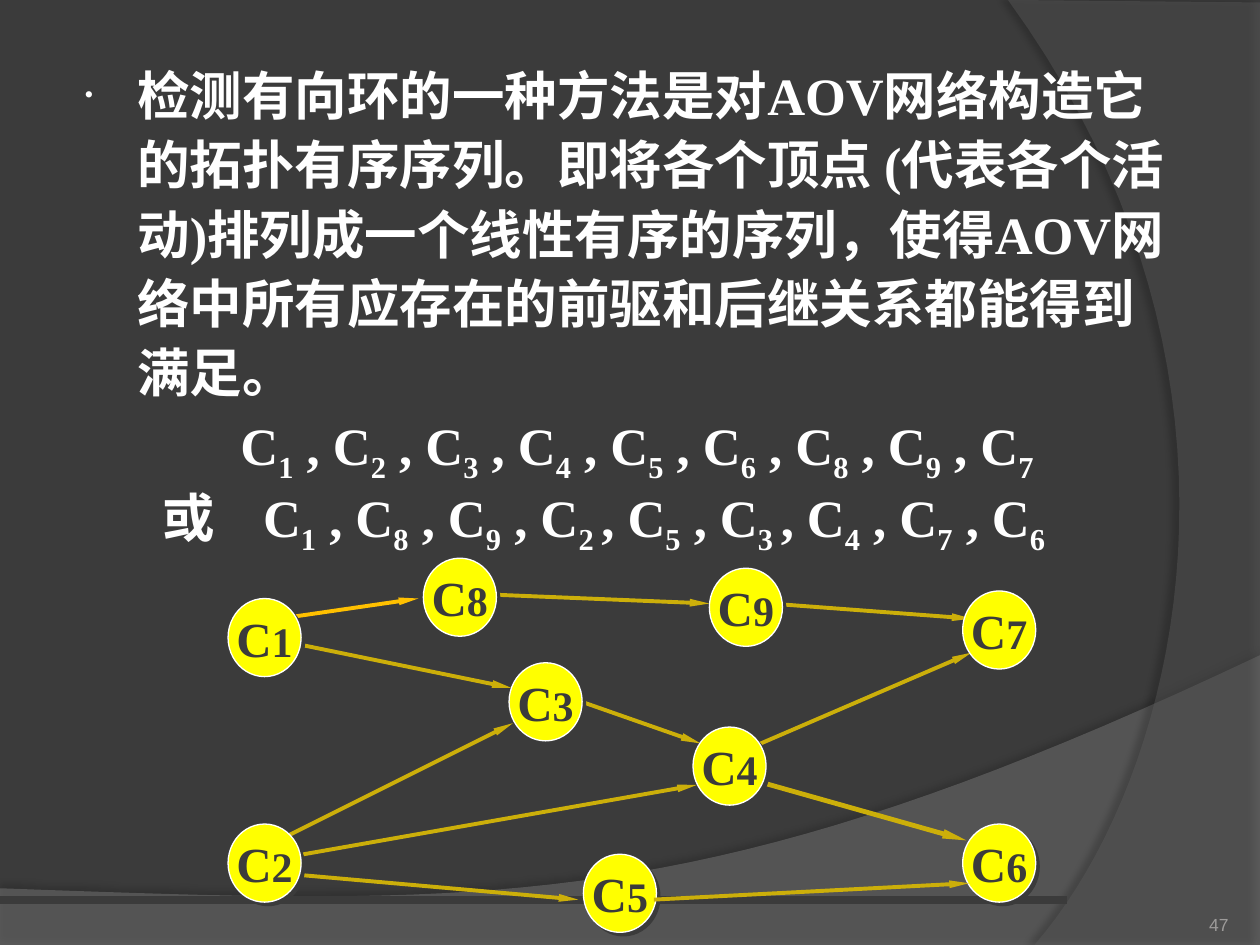
"""Build the slide on topological order of an AOV network."""
from lxml import etree
from pptx import Presentation, util as u
from pptx.dml.color import RGBColor
from pptx.enum import shapes, text
from pptx.oxml import ns

THEME = {
    "ground": "3B3B3B", "white": "FFFFFF", "node": "FFFF00",
    "edge": "CCAF0A", "first_edge": "FFC000", "number": "9D9B9A",
    "serif": "Times New Roman", "sans": "Arial",
    "body": 30, "letter": 28, "digit": 24, "small": 10,
}
STATEMENT = ("检测有向环的一种方法是对AOV网络构造它的拓扑有序序列。"
             "即将各个顶点 (代表各个活动)排列成一个线性有序的序列，"
             "使得AOV网络中所有应存在的前驱和后继关系都能得到满足。")
SEQUENCES = [
    {"lead": "", "left": 1.08, "hang": 0, "order": ["1", "2", "3", "4", "5", "6", "8", "9", "7"]},
    {"lead": "或\t", "left": 1.26, "hang": -0.8, "order": ["1", "8", "9", "2 ", "5", "3 ", "4", "7", "6"]},
]
NODE_SIZE = (0.58, 0.62)
NODES = {
    "8": (3.36, 4.43), "3": (4.04, 5.26), "5": (4.63, 6.78),
    "4": (5.5, 5.77), "9": (5.63, 4.51), "6": (7.64, 6.54),
    "7": (7.64, 4.69), "1": (1.81, 4.75), "2": (1.81, 6.54),
}
EDGES = [
    ((2.24, 6.81), (5.53, 6.23), "edge", 2.25),
    ((4.56, 5.55), (5.56, 5.9), "edge", 2.25),
    ((6.11, 4.79), (7.71, 4.91), "edge", 2.25),
    ((5.9, 5.96), (7.71, 5.18), "edge", 2.25),
    ((3.68, 4.71), (5.63, 4.79), "edge", 2.25),
    ((6.01, 6.2), (7.67, 6.67), "edge", 2.75),
    ((2.22, 6.93), (4.59, 7.14), "edge", 2.25),
    ((2.21, 6.67), (4.07, 5.74), "edge", 2.25),
    ((1.96, 5.03), (4.06, 5.46), "edge", 2.25),
    ((2.22, 4.91), (3.32, 4.75), "first_edge", 2.25),
    ((5.19, 7.14), (7.69, 7.01), "edge", 2.25),
]
SWOOSHES = [
    {"before": [(0, 7.05), (0, 7.51), (10, 7.51)],
     "curve": [(10, 5.2), (5.59, 7.29), (3.91, 7.19), (0, 7.05)],
     "color": "7F7F7F", "alpha": 45, "shadow": ("000000", 35, 4, 3.5, 270)},
    {"before": [(10, 0.02), (10, 7.5)],
     "curve": [(8.21, 7.5), (9.35, 6.19), (10.18, 3), (8, 0)],
     "color": "5E5E5E", "alpha": 40, "shadow": ("000000", 45, 4, 4, 180)},
]


def rgb(name):
    return RGBColor.from_string(THEME.get(name, name))


def add_xml(parent, tag, **attributes):
    values = {key: str(value) for key, value in attributes.items()}
    return etree.SubElement(parent, ns.qn(f"a:{tag}"), values)


def set_shadow(shape, color, alpha, blur, distance, angle):
    shape.shadow.inherit = False
    effects = shape._element.spPr.find(ns.qn("a:effectLst"))
    shadow = add_xml(effects, "outerShdw", blurRad=u.Pt(blur), dist=u.Pt(distance),
                     dir=angle * 60000, algn="ctr", rotWithShape=0)
    add_xml(add_xml(shadow, "srgbClr", val=color), "alpha", val=alpha * 1000)


def add_span(para, words, size, color="white", font="serif", bold=True, baseline=0):
    span = para.add_run()
    span.text = words
    span.font.size = u.Pt(THEME[size])
    span.font.name = THEME[font]
    span.font.bold = bold
    span.font.color.rgb = rgb(color)
    if baseline:
        span.font._element.set("baseline", str(baseline * 1000))


def indent(para, left, hang):
    properties = para._p.get_or_add_pPr()
    properties.set("marL", str(u.Inches(left)))
    properties.set("indent", str(u.Inches(hang)))
    return properties


def bezier(points, steps=40):
    for step in range(steps + 1):
        t = step / steps
        weights = ((1 - t) ** 3, 3 * t * (1 - t) ** 2, 3 * t * t * (1 - t), t ** 3)
        yield tuple(sum(w * point[axis] for w, point in zip(weights, points)) for axis in (0, 1))


def add_swoosh(page, swoosh):
    outline = [(u.Inches(x), u.Inches(y)) for x, y in [*swoosh["before"], *bezier(swoosh["curve"])]]
    builder = page.shapes.build_freeform(*outline[0])
    builder.add_line_segments(outline[1:], close=True)
    shape = builder.convert_to_shape()
    shape.fill.solid()
    shape.fill.fore_color.rgb = rgb(swoosh["color"])
    shape.line.fill.background()
    color = shape._element.spPr.find(ns.qn("a:solidFill"))[0]
    add_xml(color, "alpha", val=swoosh["alpha"] * 1000)
    set_shadow(shape, *swoosh["shadow"])


def add_line(parent, start, end, color, width):
    line = parent.shapes.add_connector(
        shapes.MSO_CONNECTOR.STRAIGHT, *(u.Inches(value) for value in start + end))
    line.line.color.rgb = rgb(color)
    line.line.width = u.Pt(width)
    add_xml(line._element.spPr, "effectLst")
    return line


def add_edge(graph, start, end, color, width):
    edge = add_line(graph, start, end, color, width)
    add_xml(edge.line._get_or_add_ln(), "tailEnd", type="triangle", w="sm", len="lg")


def add_node(graph, digit, corner):
    node = graph.shapes.add_shape(
        shapes.MSO_SHAPE.OVAL, *(u.Inches(value) for value in corner + NODE_SIZE))
    node.fill.solid()
    node.fill.fore_color.rgb = rgb("node")
    node.line.color.rgb = rgb("white")
    node.line.width = u.Pt(0.75)
    set_shadow(node, THEME["ground"], 100, 0, 2.8, 45)
    frame = node.text_frame
    frame.word_wrap = False
    frame.vertical_anchor = text.MSO_ANCHOR.MIDDLE
    para = frame.paragraphs[0]
    para.alignment = text.PP_ALIGN.CENTER
    add_span(para, "C", "letter", "ground")
    add_span(para, digit, "digit", "ground")


def add_box(page, *area):
    box = page.shapes.add_textbox(*(u.Inches(value) for value in area))
    box.text_frame.word_wrap = True
    return box.text_frame


def fill_statement(body):
    body.left, body.top, body.width, body.height = map(u.Inches, (0.53, 0.4, 8.92, 3.14))
    body.text_frame.auto_size = text.MSO_AUTO_SIZE.NONE
    para = body.text_frame.paragraphs[0]
    para.line_spacing = 1.1
    para.space_before = u.Pt(4)
    properties = indent(para, 0.46, -0.42)
    add_xml(add_xml(properties, "buClr"), "srgbClr", val=THEME["white"])
    add_xml(properties, "buSzPct", val=50000)
    add_xml(properties, "buFont", typeface=THEME["serif"])
    add_xml(properties, "buChar", char="•")
    add_span(para, STATEMENT, "body")


def add_sequences(page):
    frame = add_box(page, 0.73, 3.23, 9, 1.36)
    for row, sequence in enumerate(SEQUENCES):
        para = frame.add_paragraph() if row else frame.paragraphs[0]
        para.space_before = u.Pt(0 if row else 4)
        indent(para, sequence["left"], sequence["hang"])
        prefix = sequence["lead"] + "C"
        for label in sequence["order"]:
            add_span(para, prefix, "body")
            add_span(para, label, "body", baseline=-25)
            prefix = ", C" if label.endswith(" ") else " , C"


def add_page_number(page):
    frame = add_box(page, 8.92, 7.02, 0.83, 0.4)
    frame.margin_left = frame.margin_right = frame.margin_top = frame.margin_bottom = 0
    frame.vertical_anchor = text.MSO_ANCHOR.BOTTOM
    para = frame.paragraphs[0]
    para.alignment = text.PP_ALIGN.RIGHT
    add_span(para, "47", "small", "number", "sans", bold=False)


def main():
    deck = Presentation()
    deck.slide_width, deck.slide_height = u.Inches(10), u.Inches(7.5)
    page = deck.slides.add_slide(deck.slide_layouts[1])
    page.background.fill.solid()
    page.background.fill.fore_color.rgb = rgb("ground")
    title, body = page.placeholders
    tree = page.shapes._spTree
    tree.remove(title._element)
    for swoosh in SWOOSHES:
        add_swoosh(page, swoosh)
    add_line(page, (0, 7.14), (8.47, 7.14), "ground", 4.5)
    tree.append(body._element)
    fill_statement(body)
    add_page_number(page)
    graph = page.shapes.add_group_shape()
    for edge in EDGES[:-1]:
        add_edge(graph, *edge)
    for digit, corner in NODES.items():
        add_node(graph, digit, corner)
    add_edge(graph, *EDGES[-1])
    add_sequences(page)
    deck.save("out.pptx")


if __name__ == "__main__":
    main()
